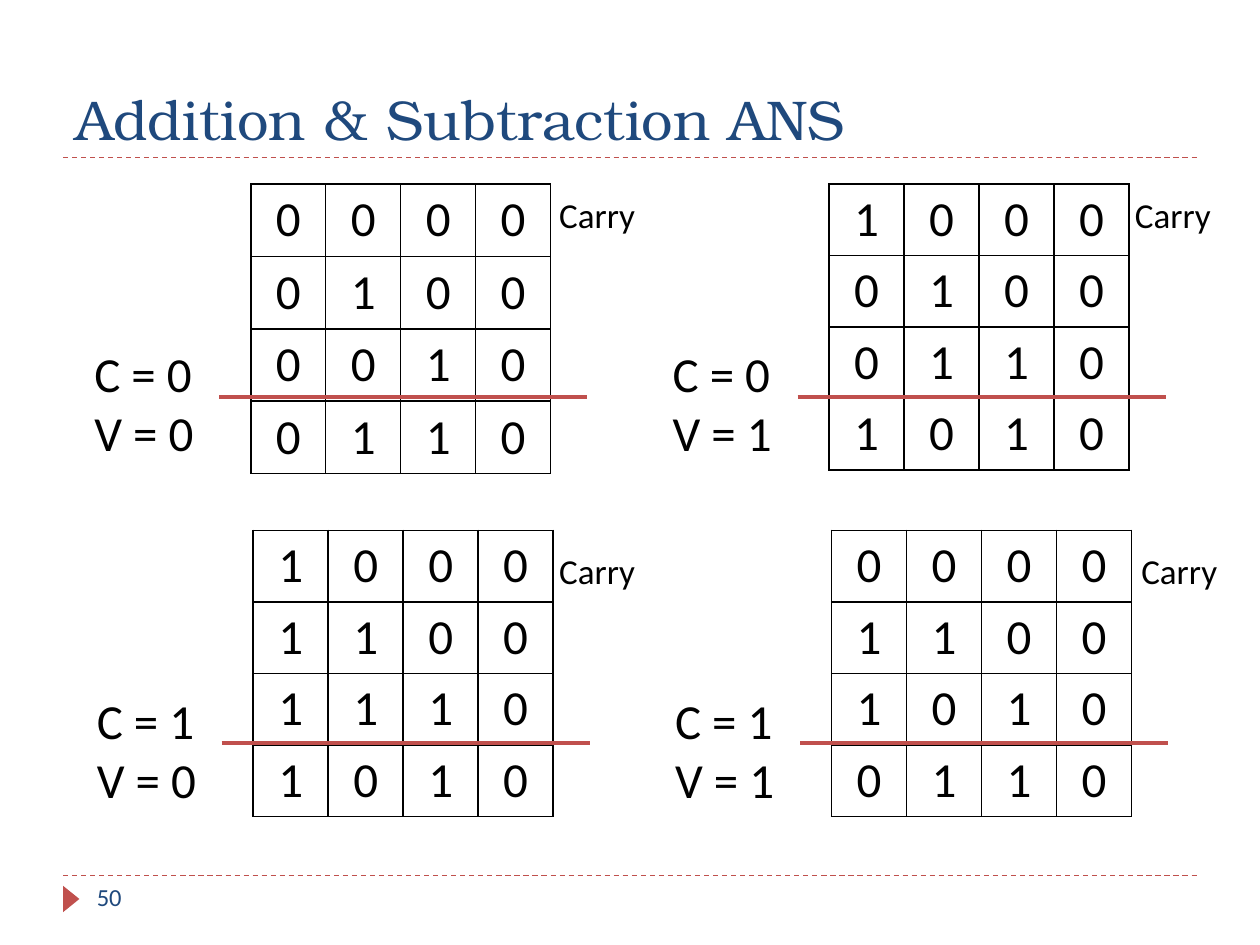
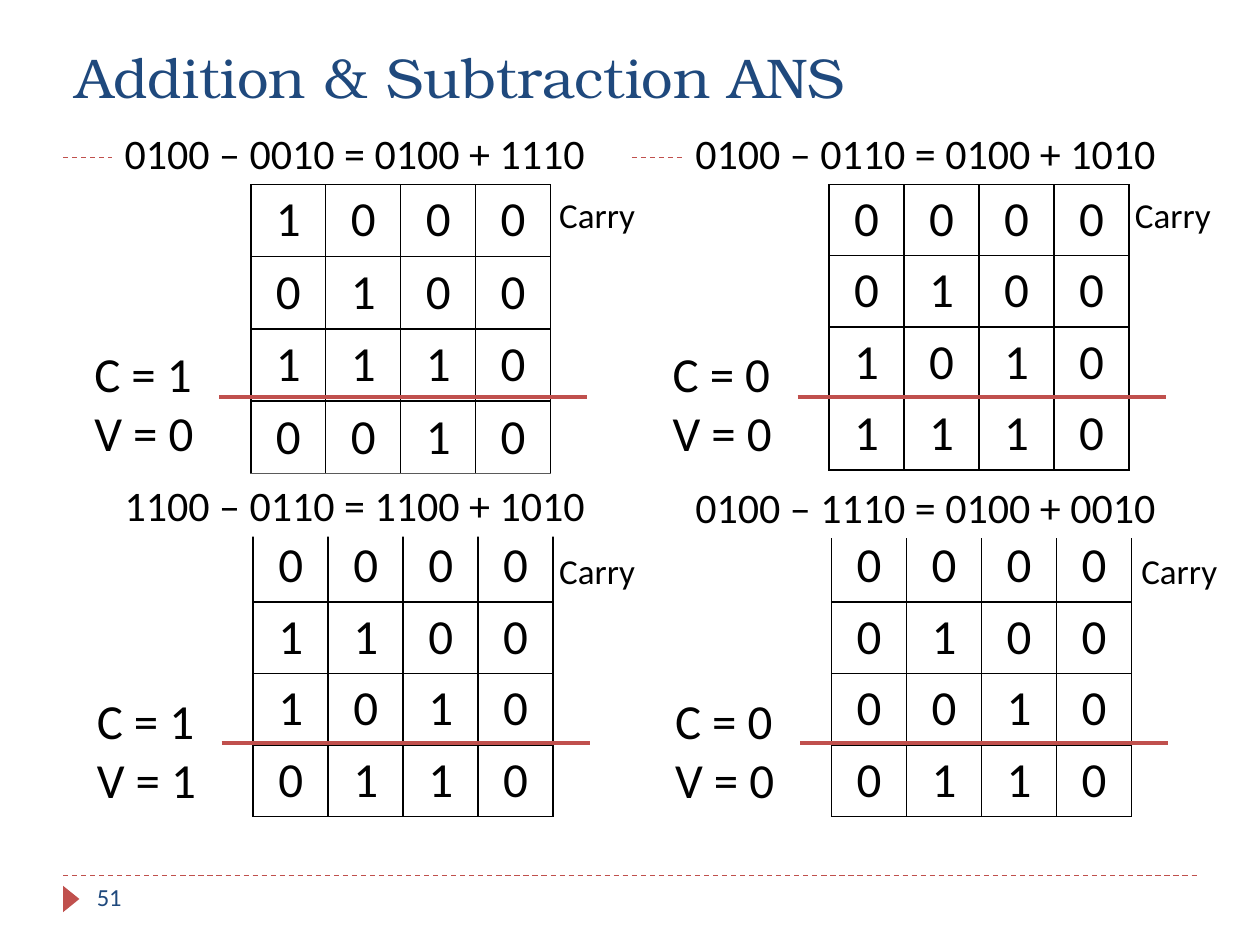
from dataclasses import dataclass

from lxml import etree
from pptx import Presentation
from pptx.dml.color import RGBColor
from pptx.enum import dml, shapes, text
from pptx.oxml.ns import qn
from pptx.util import Inches, Pt


@dataclass(frozen=True)
class Theme:
    ink: str = "000000"
    navy: str = "1F497D"
    red: str = "C0504D"
    paper: str = "FFFFFF"
    title_font: str = "TeX Gyre Bonum"
    body_font: str = "Calibri"
    title_size: int = 32
    digit_size: int = 28
    formula_size: int = 24
    label_size: int = 20
    number_size: int = 14


THEME = Theme()
BITS = 4
TITLE = "Addition & Subtraction ANS"
GRID_W = 2.38
CARRY_SPOTS = [(4.34, 1.49), (8.91, 1.49), (4.34, 4.31), (8.96, 4.31)]
FORMULA_SPOTS = [(0.89, 0.96), (5.42, 0.96), (0.89, 3.76), (5.42, 3.77)]
ADDITIONS = [(0b0100, 0b0010), (0b0100, 0b0110), (0b1100, 0b1110), (0b1100, 0b1010)]
SUBTRACTIONS = [(0b0100, 0b0010), (0b0100, 0b0110), (0b1100, 0b0110), (0b0100, 0b1110)]


def rgb(color):
    return RGBColor.from_string(color)


def bits(value):
    return f"{value:0{BITS}b}"


def negate(value):
    """Two's complement within BITS bits."""
    return -value % 2 ** BITS


def write(tf, content, size=THEME.digit_size, color=THEME.ink, font=THEME.body_font,
          align=text.PP_ALIGN.LEFT):
    """Fill a text frame, one paragraph for each line of content."""
    for i, line in enumerate(content.split("\n")):
        p = tf.paragraphs[0] if i == 0 else tf.add_paragraph()
        p.alignment = align
        r = p.add_run()
        r.text = line
        r.font.size = Pt(size)
        r.font.name = font
        r.font.color.rgb = rgb(color)


def add_text(slide, content, x, y, w, h, fill=None, anchor=text.MSO_ANCHOR.TOP, **fmt):
    sp = slide.shapes.add_textbox(Inches(x), Inches(y), Inches(w), Inches(h))
    if fill:
        sp.fill.solid()
        sp.fill.fore_color.rgb = rgb(fill)
    tf = sp.text_frame
    tf.word_wrap = True
    tf.vertical_anchor = anchor
    write(tf, content, **fmt)


def add_rule(slide, x, y, length, width, dash=None):
    line = slide.shapes.add_connector(shapes.MSO_CONNECTOR.STRAIGHT, Inches(x), Inches(y),
                                      Inches(x + length), Inches(y))
    line.line.color.rgb = rgb(THEME.red)
    line.line.width = Pt(width)
    if dash:
        line.line.dash_style = dash
    etree.SubElement(line._element.spPr, qn("a:effectLst"))


def add_borders(cell, width=1):
    tc_pr = cell._tc.get_or_add_tcPr()
    for i, side in enumerate(("lnL", "lnR", "lnT", "lnB")):
        ln = etree.Element(qn(f"a:{side}"), w=str(Pt(width)))
        fill = etree.SubElement(ln, qn("a:solidFill"))
        etree.SubElement(fill, qn("a:srgbClr"), val=THEME.ink)
        tc_pr.insert(i, ln)


def add_bit_grid(slide, rows, x, y, h):
    frame = slide.shapes.add_table(len(rows), BITS, Inches(x), Inches(y),
                                   Inches(GRID_W), Inches(h))
    table = frame.table
    table.first_row = table.horz_banding = False
    for row, value in enumerate(rows):
        for col, digit in enumerate(bits(value)):
            cell = table.cell(row, col)
            cell.fill.background()
            cell.margin_top = cell.margin_bottom = Inches(0.04)
            cell.vertical_anchor = text.MSO_ANCHOR.MIDDLE
            write(cell.text_frame, digit, align=text.PP_ALIGN.CENTER)
            add_borders(cell)


def add_sum(slide, index, a, b):
    """Worked sum: carries into each bit, both operands, result and the C and V flags."""
    row, col = divmod(index, 2)
    x, y = 1.99 + 4.59 * col + 0.02 * row, 1.46 + 2.75 * row
    carry_out, result = divmod(a + b, 2 ** BITS)
    carries = a ^ b ^ result
    overflow = carry_out ^ (carries >> BITS - 1)
    add_bit_grid(slide, (carries, a, b, result), x, y, 2.3 if index == 0 else 2.27)
    add_rule(slide, x - 0.25, y + 1.69, 2.92, 2.25)
    add_text(slide, f"C = {carry_out}\nV = {overflow}", x - 1.34, y + 1.22, 1.12, 1.04)


def add_frame(slide, number):
    """Dashed rules and the page number with its marker."""
    for y in (6.95, 1.25):
        add_rule(slide, 0.5, y, 9, 0.75, dml.MSO_LINE.DASH)
    sp = slide.shapes.add_shape(shapes.MSO_SHAPE.ISOSCELES_TRIANGLE, Inches(0.46),
                                Inches(7.07), Inches(0.21), Inches(0.13))
    sp.rotation = 90
    sp.shadow.inherit = False
    sp.fill.solid()
    sp.fill.fore_color.rgb = rgb(THEME.red)
    sp.line.fill.background()
    add_text(slide, str(number), 0.67, 6.95, 2.17, 0.4,
             size=THEME.number_size, color=THEME.navy)


def add_title(slide, y):
    add_text(slide, TITLE, 0.5, y, 9, 1.08, anchor=text.MSO_ANCHOR.BOTTOM,
             size=THEME.title_size, color=THEME.navy, font=THEME.title_font)


def add_formulas(slide):
    for (x, y), (a, b) in zip(FORMULA_SPOTS, SUBTRACTIONS):
        formula = f"{bits(a)} – {bits(b)} = {bits(a)} + {bits(negate(b))}"
        add_text(slide, formula, x, y, 4.11, 0.5, fill=THEME.paper, size=THEME.formula_size)


def add_answers(prs, number, sums, title_y, formulas=False):
    slide = prs.slides.add_slide(prs.slide_layouts[6])
    add_frame(slide, number)
    for index, (a, b) in enumerate(sums):
        add_sum(slide, index, a, b)
    if formulas:
        add_formulas(slide)
    add_title(slide, title_y)
    for x, y in CARRY_SPOTS:
        add_text(slide, "Carry", x, y, 0.87, 0.44, size=THEME.label_size)


def main():
    prs = Presentation()
    prs.slide_width, prs.slide_height = Inches(10), Inches(7.5)
    add_answers(prs, 50, ADDITIONS, title_y=0.17)
    add_answers(prs, 51, [(a, negate(b)) for a, b in SUBTRACTIONS], title_y=-0.16,
                formulas=True)
    prs.save("out.pptx")


if __name__ == "__main__":
    main()
